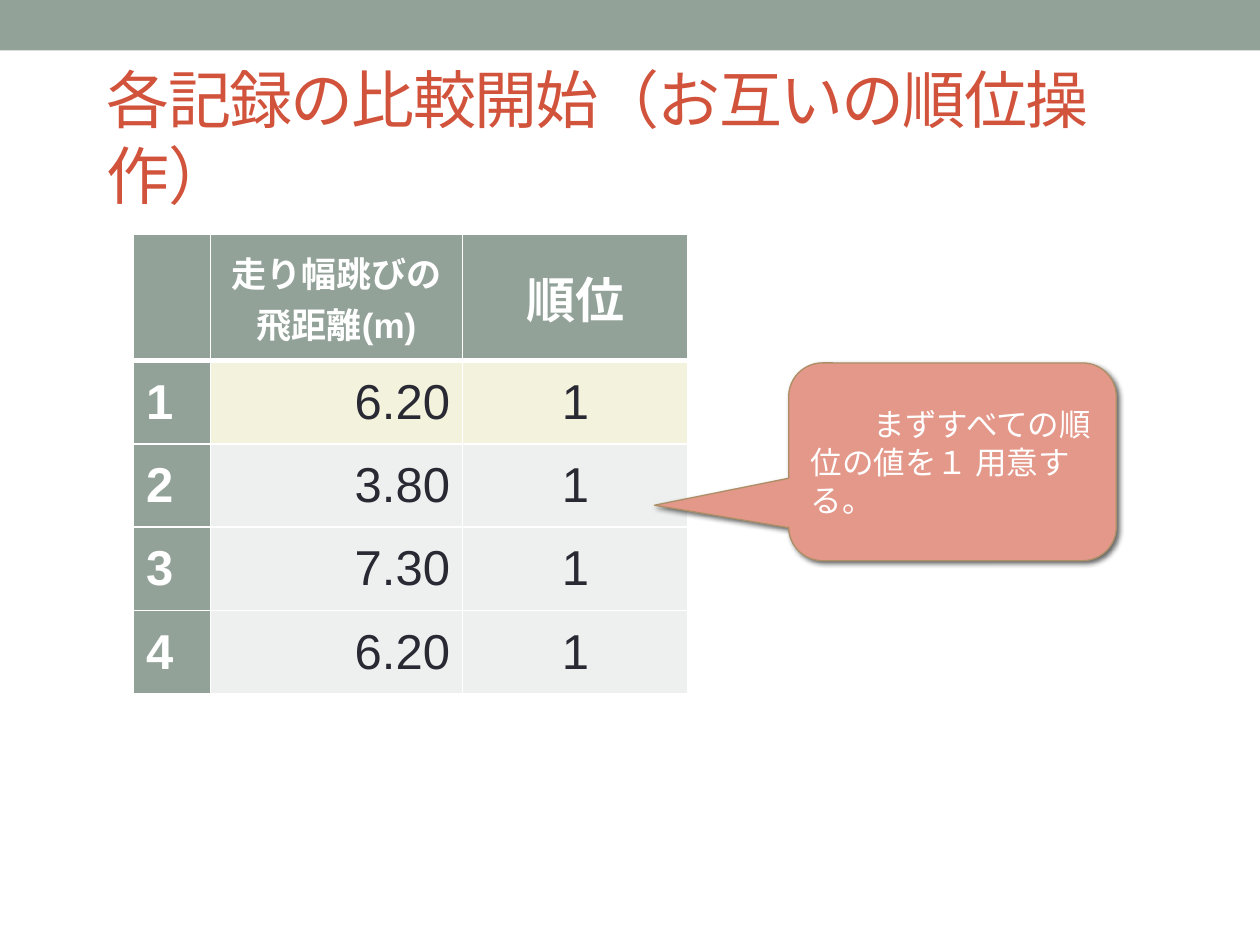
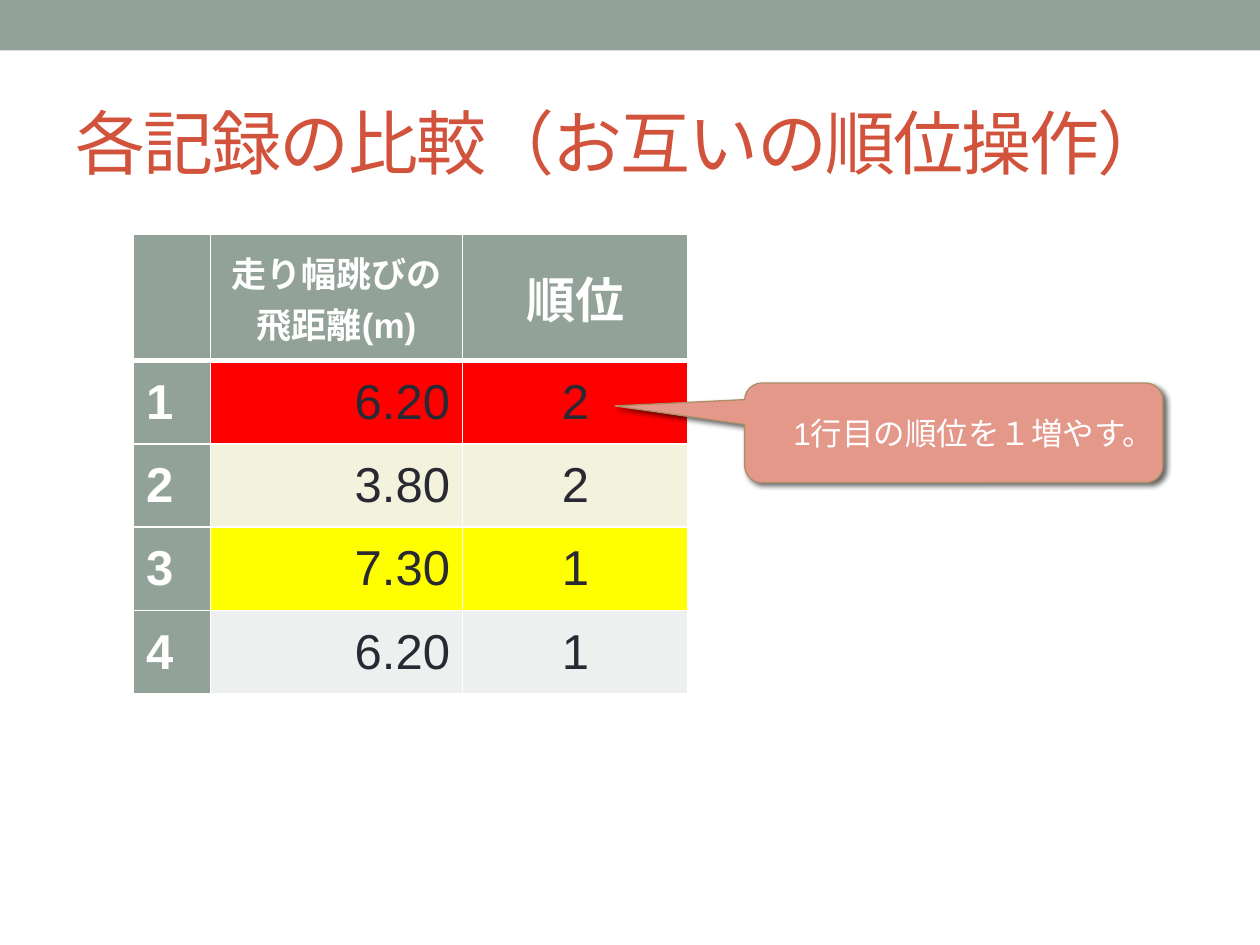
from dataclasses import dataclass

import pptx
import pptx.dml.color
import pptx.enum.lang
import pptx.enum.shapes
import pptx.enum.text
import pptx.oxml
import pptx.oxml.ns
import pptx.presentation
import pptx.slide
import pptx.table
import pptx.text.text
import pptx.util

Pt = pptx.util.Pt
ALIGN = pptx.enum.text.PP_ALIGN
MIDDLE = pptx.enum.text.MSO_ANCHOR.MIDDLE
SHAPE = pptx.enum.shapes.MSO_SHAPE

FONT = "Arial"
SLIDE_WIDTH, SLIDE_HEIGHT = 720, 540
BAND_HEIGHT = 28.8
COLORS = {
    "sage": "93A299",
    "title": "D2533C",
    "white": "FFFFFF",
    "ink": "292934",
    "plain": "EEF0EF",
    "cream": "F3F2DC",
    "red": "FF0000",
    "yellow": "FFFF00",
    "callout": "E4988A",
    "callout_line": "AD8F67",
    "shadow": "000000",
}

# Table layout
TABLE_LEFT, TABLE_TOP = 76.3, 133.9
COLUMN_WIDTHS = (44, 144, 129)
HEADER_HEIGHT, ROW_HEIGHT = 72, 47.7
HEADERS = ((), ("走り幅跳びの", "飛距離(m)"), ("順位",))
HEADER_SIZES = (20, 20, 28)
BODY_SIZE = 28
BODY_ALIGNS = (ALIGN.LEFT, ALIGN.RIGHT, ALIGN.CENTER)
DISTANCES = ("6.20", "3.80", "7.30", "6.20")


@dataclass(frozen=True)
class Box:
    left: float
    top: float
    width: float
    height: float

    def lengths(self) -> tuple:
        return Pt(self.left), Pt(self.top), Pt(self.width), Pt(self.height)


@dataclass(frozen=True)
class Style:
    size: float
    color: str
    bold: bool = False


@dataclass(frozen=True)
class Title:
    text: str
    box: Box
    size: float


@dataclass(frozen=True)
class Callout:
    text: str
    box: Box
    tip: tuple[float, float]
    indent: float


@dataclass(frozen=True)
class RankingStep:
    title: Title
    ranks: tuple[str, ...]
    row_colors: tuple[str, ...]
    callout: Callout


STEPS = (
    RankingStep(
        Title("各記録の比較開始（お互いの順位操作）", Box(54, 43.2, 629.3, 69.1), 36),
        ("1", "1", "1", "1"),
        ("cream", "plain", "plain", "plain"),
        Callout("まずすべての順位の値を１ 用意する。",
                Box(450.7, 207.4, 187.2, 113), (-0.91, 0.22), 36),
    ),
    RankingStep(
        Title("各記録の比較（お互いの順位操作）", Box(36, 41.8, 648, 77.8), 40),
        ("2", "2", "1", "1"),
        ("red", "cream", "yellow", "plain"),
        Callout("1行目の順位を１増やす。",
                Box(425.5, 218.9, 239, 56.9), (-0.81, -0.27), 18),
    ),
)


def rgb(name: str) -> pptx.dml.color.RGBColor:
    return pptx.dml.color.RGBColor.from_string(COLORS[name])


def add_run(paragraph: pptx.text.text._Paragraph, text: str, style: Style):
    run = paragraph.add_run()
    run.text = text
    run.font.name = FONT
    run.font.size = Pt(style.size)
    run.font.bold = style.bold
    run.font.color.rgb = rgb(style.color)
    run.font.language_id = pptx.enum.lang.MSO_LANGUAGE_ID.JAPANESE
    return run


def add_band(slide: pptx.slide.Slide) -> None:
    band = slide.shapes.add_shape(
        SHAPE.RECTANGLE, *Box(0, 0, SLIDE_WIDTH, BAND_HEIGHT).lengths())
    band.shadow.inherit = False
    band.fill.solid()
    band.fill.fore_color.rgb = rgb("sage")
    band.line.fill.background()


def add_title(slide: pptx.slide.Slide, title: Title) -> None:
    frame = slide.shapes.add_textbox(*title.box.lengths()).text_frame
    frame.word_wrap = True
    frame.vertical_anchor = MIDDLE
    run = add_run(frame.paragraphs[0], title.text, Style(title.size, "title"))
    run.font._element.set("spc", "-100")


def add_border(cell: pptx.table._Cell, side: str, width: float) -> None:
    cell._tc.get_or_add_tcPr().append(pptx.oxml.parse_xml(
        f'<a:ln{side} {pptx.oxml.ns.nsdecls("a")} w="{Pt(width)}"><a:solidFill>'
        f'<a:srgbClr val="{COLORS["white"]}"/></a:solidFill></a:ln{side}>'))


def fill_cell(cell: pptx.table._Cell, lines: tuple[str, ...], style: Style,
              fill: str, align: ALIGN, borders: dict[str, float]) -> None:
    for side, width in borders.items():
        add_border(cell, side, width)
    cell.fill.solid()
    cell.fill.fore_color.rgb = rgb(fill)
    cell.vertical_anchor = MIDDLE
    for index, line in enumerate(lines):
        frame = cell.text_frame
        paragraph = frame.add_paragraph() if index else frame.paragraphs[0]
        paragraph.alignment = align
        add_run(paragraph, line, style)


def add_ranking_table(slide: pptx.slide.Slide, step: RankingStep) -> None:
    heights = (HEADER_HEIGHT,) + (ROW_HEIGHT,) * len(DISTANCES)
    box = Box(TABLE_LEFT, TABLE_TOP, sum(COLUMN_WIDTHS), sum(heights))
    table = slide.shapes.add_table(
        len(heights), len(COLUMN_WIDTHS), *box.lengths()).table
    for column, width in zip(table.columns, COLUMN_WIDTHS):
        column.width = Pt(width)
    for row, height in zip(table.rows, heights):
        row.height = Pt(height)

    # Header row, with a thicker rule below it
    for column, (lines, size) in enumerate(zip(HEADERS, HEADER_SIZES)):
        fill_cell(table.cell(0, column), lines, Style(size, "white", True),
                  "sage", ALIGN.CENTER, {"L": 1, "R": 1, "T": 1, "B": 3})

    # Records: number, distance, rank
    records = zip(DISTANCES, step.ranks, step.row_colors)
    for row, (distance, rank, row_color) in enumerate(records, start=1):
        borders = {"L": 1, "R": 1, "T": 3 if row == 1 else 1, "B": 1}
        for column, text in enumerate((str(row), distance, rank)):
            is_number = column == 0
            style = Style(BODY_SIZE, "white" if is_number else "ink", is_number)
            fill_cell(table.cell(row, column), (text,), style,
                      "sage" if is_number else row_color,
                      BODY_ALIGNS[column], borders)


def add_callout(slide: pptx.slide.Slide, callout: Callout) -> None:
    shape = slide.shapes.add_shape(
        SHAPE.ROUNDED_RECTANGULAR_CALLOUT, *callout.box.lengths())
    for index, value in enumerate((*callout.tip, 0.17)):
        shape.adjustments[index] = value
    shape.fill.solid()
    shape.fill.fore_color.rgb = rgb("callout")
    shape.line.color.rgb = rgb("callout_line")
    shape.line.width = Pt(0.75)

    # Soft shadow towards the lower right
    shape.shadow.inherit = False
    effects = shape._element.spPr.find(pptx.oxml.ns.qn("a:effectLst"))
    effects.append(pptx.oxml.parse_xml(
        f'<a:outerShdw {pptx.oxml.ns.nsdecls("a")} blurRad="{Pt(3)}" '
        f'dist="{Pt(2)}" dir="{45 * 60000}" rotWithShape="0">'
        f'<a:srgbClr val="{COLORS["shadow"]}"><a:alpha val="60000"/>'
        '</a:srgbClr></a:outerShdw>'))

    frame = shape.text_frame
    frame.word_wrap = True
    frame.vertical_anchor = MIDDLE
    paragraph = frame.paragraphs[0]
    paragraph.alignment = ALIGN.LEFT
    paragraph._p.get_or_add_pPr().set("indent", str(Pt(callout.indent)))
    add_run(paragraph, callout.text, Style(18, "white"))


def add_step(presentation: pptx.presentation.Presentation,
             step: RankingStep) -> None:
    slide = presentation.slides.add_slide(presentation.slide_layouts[6])
    add_band(slide)
    add_title(slide, step.title)
    add_ranking_table(slide, step)
    add_callout(slide, step.callout)


def main() -> None:
    presentation = pptx.Presentation()
    presentation.slide_width = Pt(SLIDE_WIDTH)
    presentation.slide_height = Pt(SLIDE_HEIGHT)
    for step in STEPS:
        add_step(presentation, step)
    presentation.save("out.pptx")


if __name__ == "__main__":
    main()
